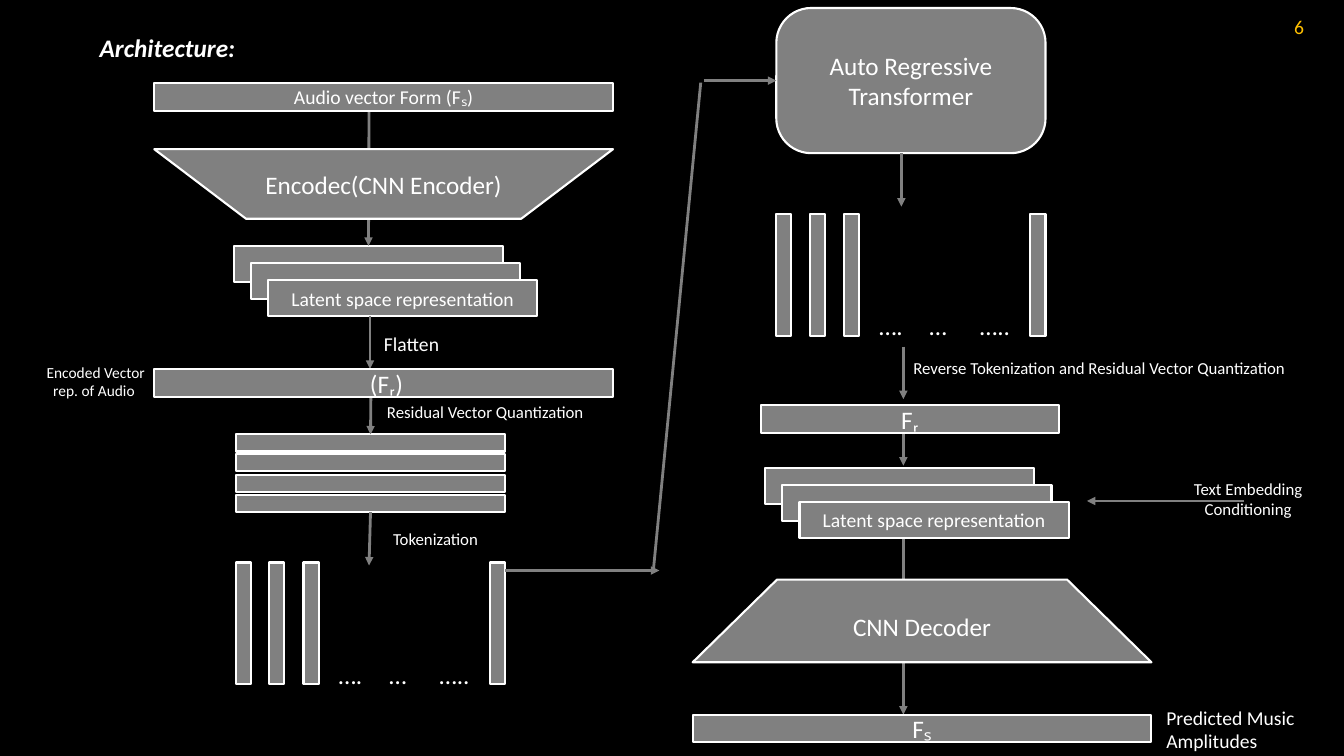
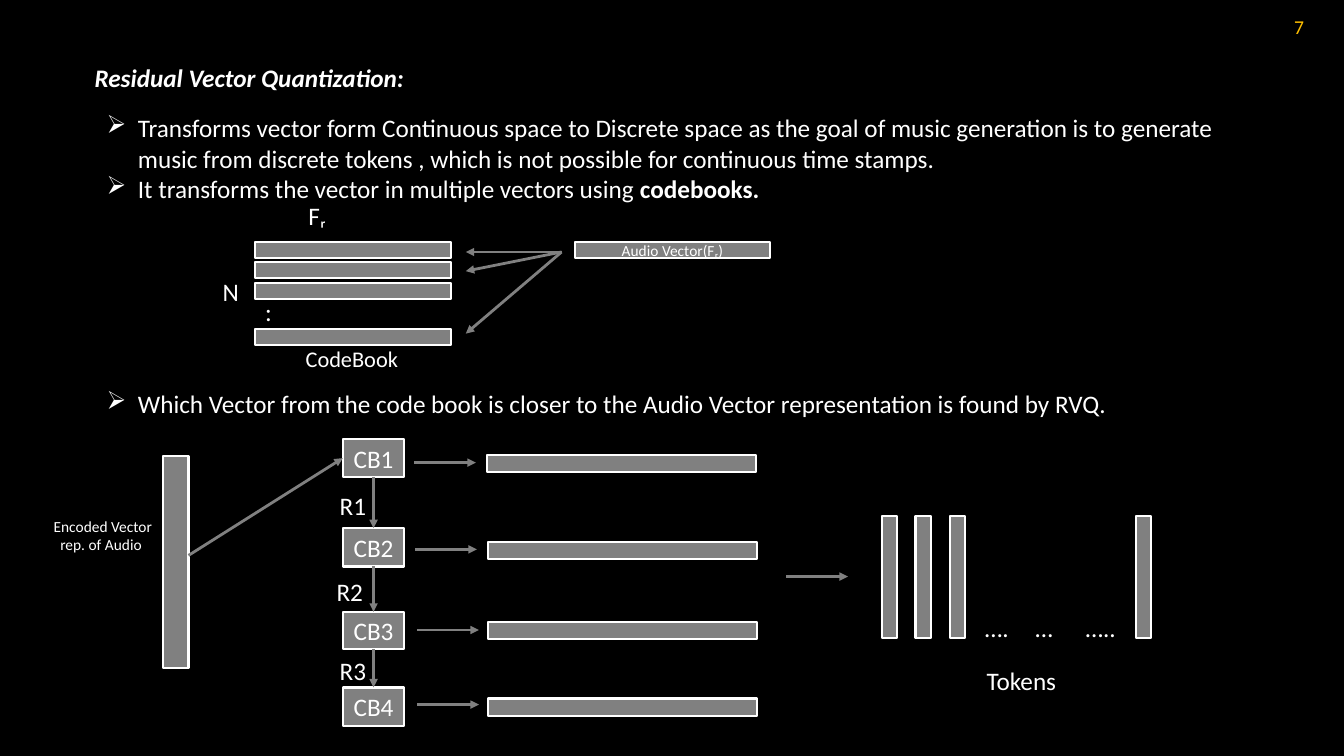
from dataclasses import dataclass
from itertools import pairwise
from typing import NamedTuple

from pptx import Presentation
from pptx.dml.color import RGBColor
from pptx.enum.shapes import MSO_CONNECTOR, MSO_SHAPE
from pptx.enum.text import MSO_ANCHOR, MSO_AUTO_SIZE, PP_ALIGN
from pptx.oxml.ns import qn
from pptx.oxml.xmlchemy import OxmlElement
from pptx.shapes.autoshape import Shape
from pptx.shapes.connector import Connector
from pptx.slide import Slide
from pptx.text.text import TextFrame, _Paragraph
from pptx.util import Emu, Pt

# Shared look
BLACK = RGBColor(0x00, 0x00, 0x00)
WHITE = RGBColor(0xFF, 0xFF, 0xFF)
GREY = RGBColor(0x80, 0x80, 0x80)
GOLD = RGBColor(0xFF, 0xC0, 0x00)
FONT = "Calibri"
EMU_PER_PX = 9144  # 100 px to the inch
TOP, LEFT, BOTTOM = 0, 1, 2  # connection sites of a rectangle
TOKEN_OFFSETS = (0, 33, 67, 252)
CARD_STEP = 17
BAR_W = 267  # common width of cards and vectors
ENCODED = "Encoded Vector rep. of Audio "


@dataclass(frozen=True)
class Box:
    x: int
    y: int
    w: int
    h: int
    text: str = ""
    size: int = 18
    kind: MSO_SHAPE = MSO_SHAPE.RECTANGLE
    adj: float | None = None


@dataclass(frozen=True)
class Note:
    x: int
    y: int
    w: int
    h: int
    text: str
    size: int = 18
    center: bool = False
    title: bool = False
    color: RGBColor = WHITE


class Point(NamedTuple):
    x: int
    y: int


class Join(NamedTuple):
    shape: Shape
    site: int


class CodeRow(NamedTuple):
    name: str
    y: int
    h: int
    vector_x: int
    vector_y: int
    arrow_x: int
    arrow_y: int


def px(n: int) -> Emu:
    return Emu(n * EMU_PER_PX)


def add_run(p: _Paragraph, text: str, size: int, color: RGBColor = WHITE,
            bold: bool = False, italic: bool = False) -> None:
    r = p.add_run()
    r.text = text
    r.font.name, r.font.size = FONT, Pt(size)
    r.font.bold, r.font.italic = bold, italic
    r.font.color.rgb = color


def add_box(s: Slide, b: Box) -> Shape:
    sp = s.shapes.add_shape(b.kind, px(b.x), px(b.y), px(b.w), px(b.h))
    sp.shadow.inherit = False
    sp.fill.solid()
    sp.fill.fore_color.rgb = GREY
    sp.line.color.rgb = WHITE
    sp.line.width = Pt(1.5)
    if b.adj is not None:
        sp.adjustments[0] = b.adj
    if b.text:
        tf = sp.text_frame
        tf.vertical_anchor = MSO_ANCHOR.MIDDLE
        for i, line in enumerate(b.text.split("\n")):
            p = tf.add_paragraph() if i else tf.paragraphs[0]
            p.alignment = PP_ALIGN.CENTER
            add_run(p, line, b.size)
    return sp


def text_frame(s: Slide, x: int, y: int, w: int, h: int) -> TextFrame:
    tf = s.shapes.add_textbox(px(x), px(y), px(w), px(h)).text_frame
    tf.word_wrap = True
    tf.auto_size = MSO_AUTO_SIZE.SHAPE_TO_FIT_TEXT
    return tf


def add_note(s: Slide, n: Note) -> None:
    p = text_frame(s, n.x, n.y, n.w, n.h).paragraphs[0]
    p.alignment = PP_ALIGN.CENTER if n.center else PP_ALIGN.LEFT
    add_run(p, n.text, n.size, n.color, n.title, n.title)


def add_line(s: Slide, start: Point | Join, end: Point | Join, head: bool = True) -> Connector:
    a, b = (e if isinstance(e, Point) else Point(0, 0) for e in (start, end))
    c = s.shapes.add_connector(MSO_CONNECTOR.STRAIGHT, px(a.x), px(a.y), px(b.x), px(b.y))
    if isinstance(start, Join):
        c.begin_connect(start.shape, start.site)
    if isinstance(end, Join):
        c.end_connect(end.shape, end.site)
    c.line.color.rgb = GREY
    c.line.width = Pt(2)
    sp_pr = c.element.spPr
    if head:
        tail = OxmlElement("a:tailEnd")
        tail.set("type", "triangle")
        sp_pr.find(qn("a:ln")).append(tail)
    sp_pr.append(OxmlElement("a:effectLst"))
    return c


def add_tokens(s: Slide, x: int, y: int) -> None:
    for dx in TOKEN_OFFSETS:
        add_box(s, Box(x + dx, y, 15, 121))
    add_note(s, Note(x + 92, y + 91, 151, 40, "….\t…\t….."))


def add_latent_cards(s: Slide, x: int, y: int) -> Shape:
    """Draw three overlapping cards and return the rear one."""
    cards = [add_box(s, Box(x + i * CARD_STEP, y + i * CARD_STEP, BAR_W, 36, text, 14))
             for i, text in enumerate(("", "", "Latent space representation"))]
    return cards[0]


def add_bullet(p: _Paragraph) -> None:
    p_pr = p._p.get_or_add_pPr()
    p_pr.set("marL", str(px(31)))
    p_pr.set("indent", str(px(-31)))
    bullet = OxmlElement("a:buChar")
    bullet.set("char", "➢")
    p_pr.append(bullet)


def new_slide(prs: Presentation, number: int, title: Note) -> Slide:
    s = prs.slides.add_slide(prs.slide_layouts[6])
    add_note(s, title)
    add_note(s, Note(1273, 10, 31, 34, str(number), 14, center=True, color=GOLD))
    return s


def architecture(prs: Presentation) -> None:
    s = new_slide(prs, 6, Note(89, 27, 321, 40, "Architecture:", title=True))

    # Encoder side
    rear = add_latent_cards(s, 232, 244)
    add_line(s, Point(366, 110), Join(rear, TOP))
    add_line(s, Point(367, 314), Point(367, 366))
    add_box(s, Box(153, 148, 455, 69, "Encodec(CNN Encoder)",
                   kind=MSO_SHAPE.FLOWCHART_MANUAL_OPERATION))
    add_box(s, Box(153, 82, 455, 28, "Audio vector Form (Fₛ)", 14))
    rows = [add_box(s, Box(234, y, BAR_W, 17)) for y in (431, 450, 471, 491)]
    add_line(s, Point(368, 378), Join(rows[0], TOP))
    add_box(s, Box(153, 366, 455, 28, " (Fᵣ)"))
    add_line(s, Join(rows[-1], BOTTOM), Point(366, 561))
    add_tokens(s, 234, 558)

    # Path to the transformer
    transformer = add_box(s, Box(770, 8, BAR_W, 144, "Auto Regressive\nTransformer",
                                 kind=MSO_SHAPE.ROUNDED_RECTANGLE, adj=0.24))
    add_line(s, Point(501, 566), Point(654, 566))
    add_line(s, Point(695, 82), Point(648, 566), head=False)
    add_line(s, Point(698, 80), Join(transformer, LEFT))

    # Decoder side
    add_line(s, Point(894, 152), Point(894, 205))
    add_tokens(s, 770, 212)
    add_line(s, Point(896, 344), Point(896, 396))
    add_line(s, Point(896, 520), Point(896, 709))
    add_box(s, Box(687, 709, 455, 27, "Fₛ"))
    add_box(s, Box(687, 575, 455, 82, "CNN Decoder", kind=MSO_SHAPE.TRAPEZOID, adj=1.02))
    add_latent_cards(s, 759, 464)
    add_line(s, Point(896, 409), Point(896, 462))
    add_box(s, Box(755, 402, 295, 28, "Fᵣ"))
    add_line(s, Point(1234, 497), Point(1078, 497))

    # Step labels
    for n in (
        Note(371, 324, 102, 34, "Flatten", 14),
        Note(374, 394, 334, 30, "Residual Vector Quantization", 12),
        Note(380, 520, 334, 30, "Tokenization", 12),
        Note(896, 350, 414, 30, "Reverse Tokenization and Residual Vector Quantization", 12),
        Note(1150, 470, 176, 50, "Text Embedding Conditioning", 12, center=True),
        Note(26, 355, 138, 47, ENCODED, 11, center=True),
        Note(1147, 695, 173, 57, "Predicted Music Amplitudes", 14),
    ):
        add_note(s, n)


def quantization(prs: Presentation) -> None:
    s = new_slide(prs, 7, Note(84, 57, 667, 40, "Residual Vector Quantization:", title=True))

    # Bullets, with room for the codebook diagram before the last one
    tf = text_frame(s, 96, 107, 1139, 313)
    bullets = (
        ("Transforms vector form Continuous space to Discrete space as the goal of music "
         "generation is to generate music from discrete tokens , which is not possible for "
         "continuous time stamps.", "", 0),
        ("It transforms the vector in multiple vectors using ", "codebooks.", 0),
        ("Which Vector from the code book is closer to the Audio Vector representation is "
         "found by RVQ.", "", 132),
    )
    for i, (plain, strong, gap) in enumerate(bullets):
        p = tf.add_paragraph() if i else tf.paragraphs[0]
        p.space_before = Pt(gap)
        add_bullet(p)
        add_run(p, plain, 18)
        if strong:
            add_run(p, strong, 18, bold=True)

    # Codebook lookup
    for y in (240, 260, 281, 326):
        add_box(s, Box(253, y, 194, 16))
    add_box(s, Box(570, 240, 194, 16, "Audio Vector(Fᵣ)", 11))
    for y in (250, 269, 331):
        add_line(s, Point(557, 250), Point(462, y))

    # Codebook chain
    add_box(s, Box(162, 452, 25, 211))
    rows = (
        CodeRow("CB1", 436, 37, 483, 451, 411, 459),
        CodeRow("CB2", 524, 38, 484, 538, 412, 545),
        CodeRow("CB3", 607, 37, 484, 617, 414, 625),
        CodeRow("CB4", 682, 38, 484, 693, 414, 699),
    )
    books = []
    for row in rows:
        books.append(add_box(s, Box(340, row.y, 61, row.h, row.name)))
        add_box(s, Box(row.vector_x, row.vector_y, BAR_W, 17))
        add_line(s, Point(row.arrow_x, row.arrow_y), Point(row.arrow_x + 61, row.arrow_y))
    for upper, lower in pairwise(books):
        add_line(s, Join(upper, BOTTOM), Join(lower, TOP))
    add_line(s, Point(187, 551), Join(books[0], LEFT))

    # Resulting tokens
    add_line(s, Point(780, 572), Point(841, 572))
    add_tokens(s, 875, 512)

    # Diagram labels
    for n in (
        Note(253, 289, 178, 40, ":"),
        Note(211, 269, 40, 40, "N"),
        Note(296, 194, 77, 40, "Fᵣ"),
        Note(251, 338, 196, 37, "CodeBook", 16, center=True),
        Note(33, 508, 138, 47, ENCODED, 11, center=True),
        Note(327, 482, 50, 40, "R1"),
        Note(324, 567, 50, 40, "R2"),
        Note(327, 645, 50, 40, "R3"),
        Note(908, 655, 210, 40, "Tokens", center=True),
    ):
        add_note(s, n)


def main() -> None:
    prs = Presentation()
    prs.slide_width, prs.slide_height = px(1333), px(750)
    fill = prs.slide_master.background.fill
    fill.solid()
    fill.fore_color.rgb = BLACK
    architecture(prs)
    quantization(prs)
    prs.save("out.pptx")


if __name__ == "__main__":
    main()
